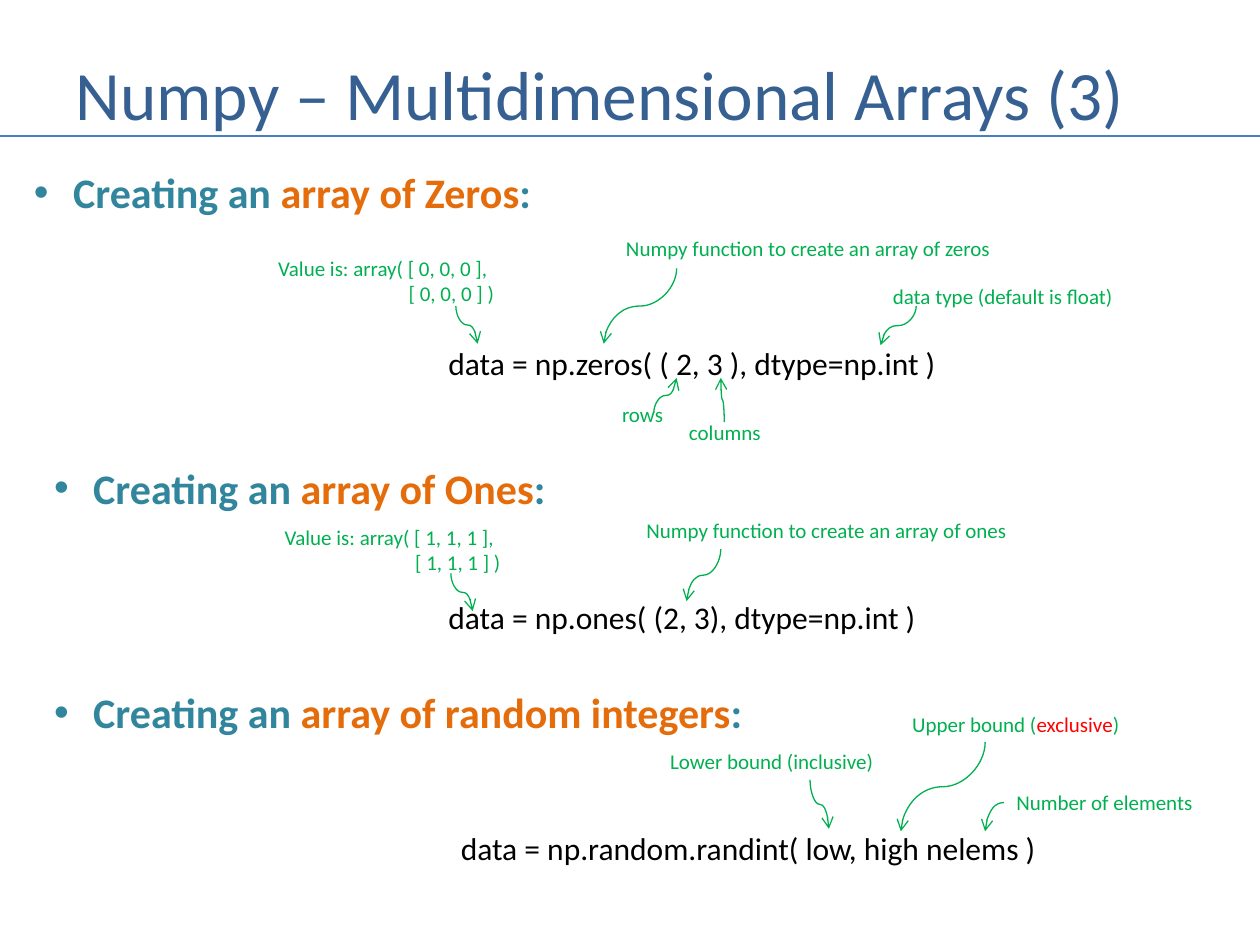
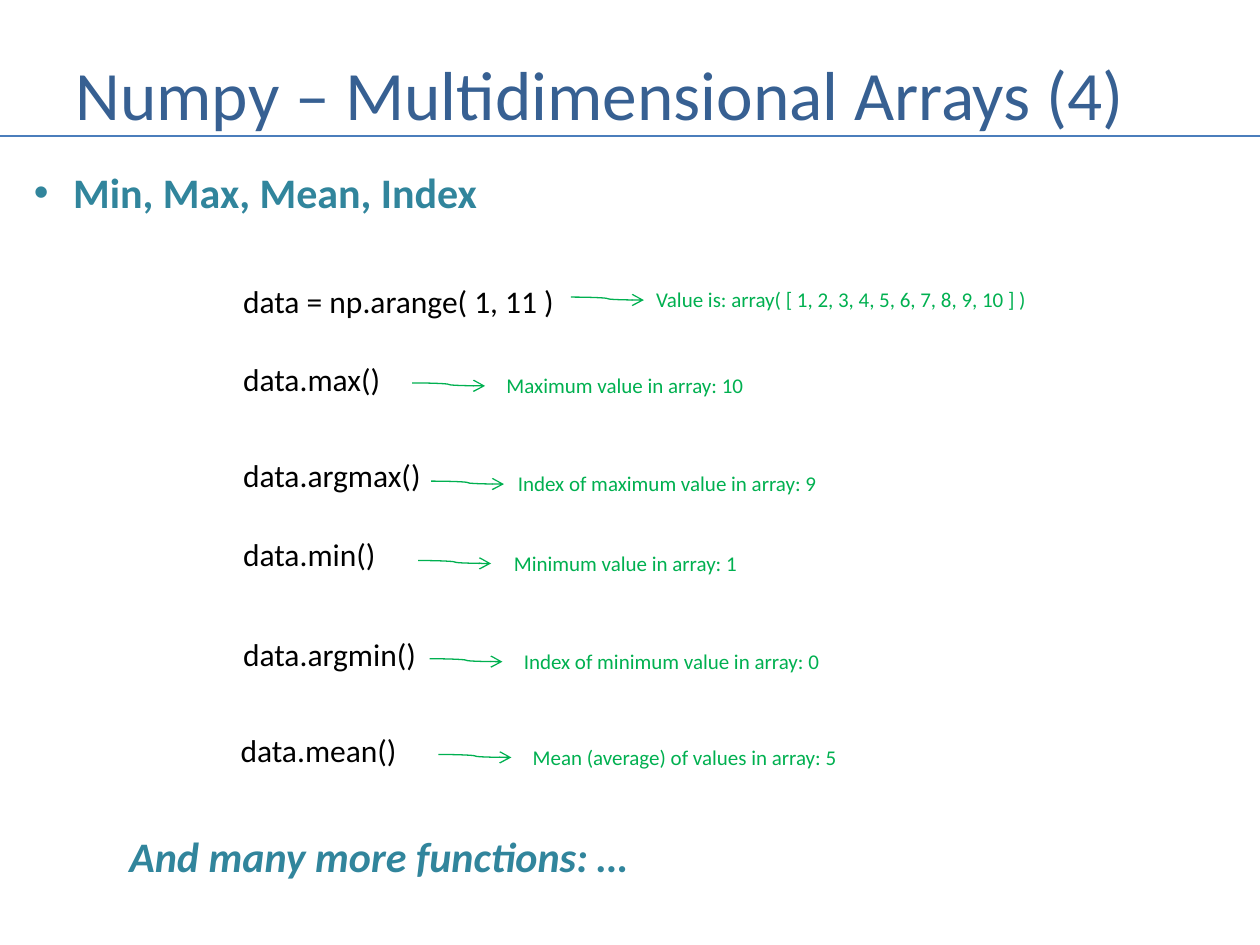
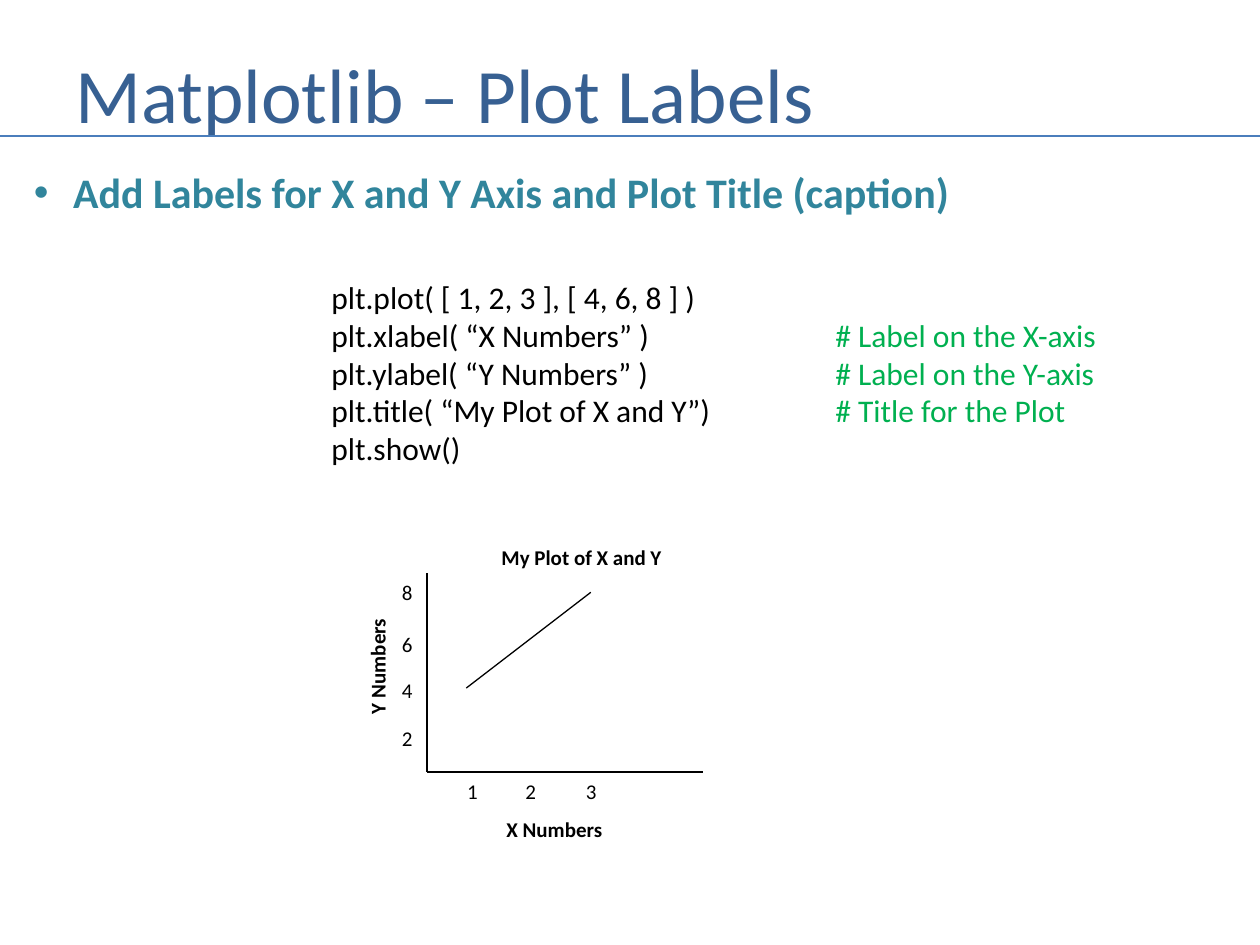
from dataclasses import dataclass

from pptx import Presentation
from pptx.dml.color import RGBColor as Rgb
from pptx.enum.shapes import MSO_CONNECTOR as Link
from pptx.enum.text import MSO_ANCHOR as Anchor, MSO_AUTO_SIZE as Fit, PP_ALIGN as Align
from pptx.oxml.ns import qn
from pptx.oxml.xmlchemy import OxmlElement as make_element
from pptx.util import Cm, Pt


@dataclass(frozen=True)
class Style:
    size: float
    color: str
    bold: bool = False
    italic: bool = False


class Theme:
    font = "Calibri"
    navy, rule = "376092", "4B7EBC"
    teal, orange = "31859C", "E46C0A"
    green, red, black = "00B050", "FF0000", "000000"
    title = Style(39.6, navy)
    big_title = Style(44, navy)
    heading = Style(24, teal, bold=True)
    closing = Style(24, teal, bold=True, italic=True)
    code = Style(18, black)
    note = Style(12, green)
    tick = Style(12, black)
    label = Style(12, black, bold=True)
    thin, axis, band = 0.75, 1.25, 1.5


def add_child(parent, tag, **attributes):
    child = make_element(tag)
    for name, value in attributes.items():
        child.set(name, str(value))
    parent.append(child)
    return child


def indent(para, left, first=0):
    properties = para._p.get_or_add_pPr()
    properties.set("marL", str(Cm(left)))
    properties.set("indent", str(Cm(first)))
    return properties


def add_bullet(para):
    properties = indent(para, 0.79, -0.79)
    add_child(properties, "a:buFont", typeface="Arial")
    add_child(properties, "a:buChar", char="•")


def add_tab(para, position):
    tabs = add_child(para._p.get_or_add_pPr(), "a:tabLst")
    add_child(tabs, "a:tab", pos=Cm(position), algn="l")


def add_spans(para, spans, style):
    for text, color in spans:
        span = para.add_run()
        span.text = text
        font = span.font
        font.name, font.size = Theme.font, Pt(style.size)
        font.bold, font.italic = style.bold, style.italic
        font.color.rgb = Rgb.from_string(color or style.color)


def place(box, left, top, width, height):
    box.left, box.top, box.width, box.height = Cm(left), Cm(top), Cm(width), Cm(height)


def fill_box(box, left, top, width, style, lines):
    place(box, left, top, width, 0.25 + 0.043 * style.size * len(lines))
    frame = box.text_frame
    frame.word_wrap = False
    frame.auto_size = Fit.SHAPE_TO_FIT_TEXT
    paras = [frame.paragraphs[0]] + [frame.add_paragraph() for _ in lines[1:]]
    for para, line in zip(paras, lines):
        para.space_before = Pt(0)
        add_spans(para, [(line, None)] if isinstance(line, str) else line, style)
    return paras


def add_text(page, left, top, width, style, *lines):
    box = page.shapes.add_textbox(0, 0, 0, 0)
    fill_box(box, left, top, width, style, lines)
    return box


def add_heading(page, left, top, width, spans, box=None):
    box = box or page.shapes.add_textbox(0, 0, 0, 0)
    box.text_frame.paragraphs[0].alignment = Align.LEFT
    add_bullet(box.text_frame.paragraphs[0])
    fill_box(box, left, top, width, Theme.heading, [spans])


def add_line(page, start, end, color, weight, kind=Link.STRAIGHT):
    line = page.shapes.add_connector(kind, *map(Cm, start + end))
    line.line.color.rgb = Rgb.from_string(color)
    line.line.width = Pt(weight)
    add_child(line._element.spPr, "a:effectLst")
    return line


def add_arrow(page, start, end):
    arrow = add_line(page, start, end, Theme.green, Theme.thin, Link.CURVE)
    add_child(arrow.line._get_or_add_ln(), "a:tailEnd", type="arrow")
    return arrow


def add_upright_arrow(page, start, end):
    (x1, y1), (x2, y2) = start, end
    turn = -1 if (x2 > x1) == (y2 > y1) else 1
    middle_x, middle_y = (x1 + x2) / 2, (y1 + y2) / 2
    across, down = turn * (y2 - y1) / 2, turn * (x2 - x1) / 2
    arrow = add_arrow(page, (middle_x - across, middle_y + down),
                      (middle_x + across, middle_y - down))
    arrow.rotation = turn * 90 % 360


def add_corner_arrow(page, start, end):
    arrow = add_arrow(page, start, end)
    arrow._element.spPr.find(qn("a:prstGeom")).set("prst", "curvedConnector2")


def add_page(deck, title, heading_width, heading, style=Theme.title):
    page = deck.slides.add_slide(deck.slide_layouts[1])
    box = page.shapes.title
    place(box, 1.27, 0.76, 23.06, 2.21)
    frame = box.text_frame
    frame.vertical_anchor, frame.auto_size = Anchor.MIDDLE, Fit.NONE
    frame.paragraphs[0].alignment = Align.LEFT
    add_spans(frame.paragraphs[0], [(title, None)], style)
    add_line(page, (0, 2.74), (25.4, 2.74), Theme.rule, Theme.band)
    add_heading(page, 0.43, 3.23, heading_width, heading, page.placeholders[1])
    return page


def creating(subject):
    return [("Creating an ", None), (subject, Theme.orange), (":", None)]


def add_array_value(page, left, top, digit):
    row = ", ".join([digit] * 3)
    box = add_text(page, left, top, 4.93, Theme.note,
                   f"Value is: array( [ {row} ],", f"[ {row} ] )")
    indent(box.text_frame.paragraphs[1], 2.63)


def build_creation_page(deck):
    page = add_page(deck, "Numpy – Multidimensional Arrays (3)", 10.64,
                    creating("array of Zeros"))
    add_heading(page, 0.84, 9.19, 10.54, creating("array of Ones"))
    add_heading(page, 0.84, 13.72, 14.53, creating("array of random integers"))

    for left, top, width, text in [
        (8.79, 6.81, 10.46, "data = np.zeros( ( 2, 3 ), dtype=np.int )"),
        (8.79, 11.94, 10.06, "data = np.ones( (2, 3), dtype=np.int )"),
        (9.04, 16.59, 12.24, "data = np.random.randint( low, high nelems )"),
    ]:
        add_text(page, left, top, width, Theme.code, text)

    add_array_value(page, 5.36, 5.03, "0")
    add_array_value(page, 5.49, 10.44, "1")
    upper_bound = [("Upper bound (", None), ("exclusive", Theme.red), (")", None)]
    for left, top, width, text in [
        (12.37, 4.62, 7.92, "Numpy function to create an array of zeros"),
        (12.29, 7.98, 1.35, "rows"),
        (13.64, 8.33, 1.98, "columns"),
        (17.75, 5.59, 5.03, "data type (default is float)"),
        (12.78, 10.31, 7.85, "Numpy function to create an array of ones"),
        (13.26, 14.96, 4.65, "Lower bound (inclusive)"),
        (18.14, 14.22, 4.72, upper_bound),
        (20.24, 15.8, 4.11, "Number of elements"),
    ]:
        add_text(page, left, top, width, Theme.note, text)

    for start, end in [
        ((13.64, 5.41), (12.17, 6.93)),
        ((9.19, 6.17), (9.63, 6.93)),
        ((18.47, 6.17), (17.75, 6.96)),
        ((13.18, 8.33), (13.64, 7.62)),
        ((14.6, 8.51), (14.53, 7.62)),
        ((14.53, 11.07), (13.84, 12.12)),
        ((9.09, 11.56), (9.53, 12.32)),
        ((16.33, 15.72), (16.71, 16.71)),
        ((19.86, 14.96), (18.16, 16.76)),
    ]:
        add_upright_arrow(page, start, end)
    add_corner_arrow(page, (20.24, 16.18), (19.86, 16.76))


def add_call(page, code, arrow_left, note):
    add_text(page, *code[:3], Theme.code, code[3])
    add_text(page, *note[:3], Theme.note, note[3])
    arrow_top = note[1] + 0.33
    add_arrow(page, (arrow_left, arrow_top), (arrow_left + 1.47, arrow_top + 0.06))


def build_functions_page(deck):
    page = add_page(deck, "Numpy – Multidimensional Arrays (4)", 9.55,
                    [("Min, Max, Mean, Index", None)])
    for code, arrow_left, note in [
        ((4.65, 5.56, 6.86, "data = np.arange( 1, 11 )"), 11.51,
         (12.98, 5.66, 8.08, "Value is: array( [ 1, 2, 3, 4, 5, 6, 7, 8, 9, 10 ] )")),
        ((4.65, 7.14, 3.35, "data.max()"), 8.31,
         (9.96, 7.39, 5.33, "Maximum value in array: 10")),
        ((4.65, 9.07, 4.14, "data.argmax()"), 8.69,
         (10.19, 9.37, 6.83, "Index of maximum value in array: 9")),
        ((4.65, 10.67, 3.23, "data.min()"), 8.43,
         (10.11, 10.97, 5.05, "Minimum value in array: 1")),
        ((4.65, 12.67, 4.04, "data.argmin()"), 8.66,
         (10.31, 12.95, 6.53, "Index of minimum value in array: 0")),
        ((4.6, 14.61, 3.71, "data.mean()"), 8.84,
         (10.49, 14.88, 6.71, "Mean (average) of values in array: 5")),
    ]:
        add_call(page, code, arrow_left, note)
    add_text(page, 2.36, 16.61, 10.64, Theme.closing, "And many more functions: …")


def add_plot_sketch(page):
    origin = (8.61, 15.57)
    add_line(page, (8.61, 11.56), origin, Theme.black, Theme.axis)
    add_line(page, origin, (14.17, 15.57), Theme.black, Theme.axis)
    add_line(page, (9.4, 13.87), (11.91, 11.94), Theme.black, Theme.thin)
    for text, left in zip("123", (9.17, 10.34, 11.56)):
        add_text(page, left, 15.57, 0.74, Theme.tick, text)
    for text, top in zip("2468", (14.5, 13.54, 12.6, 11.56)):
        add_text(page, 7.85, top, 0.74, Theme.tick, text)
    add_text(page, 9.86, 10.85, 3.78, Theme.label, "My Plot of X and Y")
    add_text(page, 9.96, 16.33, 2.46, Theme.label, "X Numbers")
    add_text(page, 6.38, 13.03, 2.46, Theme.label, "Y Numbers").rotation = 270


def build_labels_page(deck):
    page = add_page(deck, "Matplotlib – Plot Labels", 19.15,
                    [("Add Labels for X and Y Axis and Plot Title (caption)", None)],
                    Theme.big_title)
    listing = add_text(
        page, 6.43, 5.48, 15.93, Theme.code,
        "plt.plot( [ 1, 2, 3 ], [ 4, 6, 8 ] )",
        [("plt.xlabel( “X Numbers” )\t", None), ("# Label on the X-axis", Theme.green)],
        [("plt.ylabel( “Y Numbers” )\t", None), ("# Label on the Y-axis", Theme.green)],
        [("plt.title( “My Plot of X and Y”)\t", None), ("# Title for the Plot", Theme.green)],
        "plt.show()",
    )
    for para in listing.text_frame.paragraphs:
        add_tab(para, 10.16)
    add_plot_sketch(page)


def main():
    deck = Presentation()
    deck.slide_width, deck.slide_height = Cm(25.4), Cm(19.05)
    build_creation_page(deck)
    build_functions_page(deck)
    build_labels_page(deck)
    deck.save("out.pptx")


if __name__ == "__main__":
    main()
